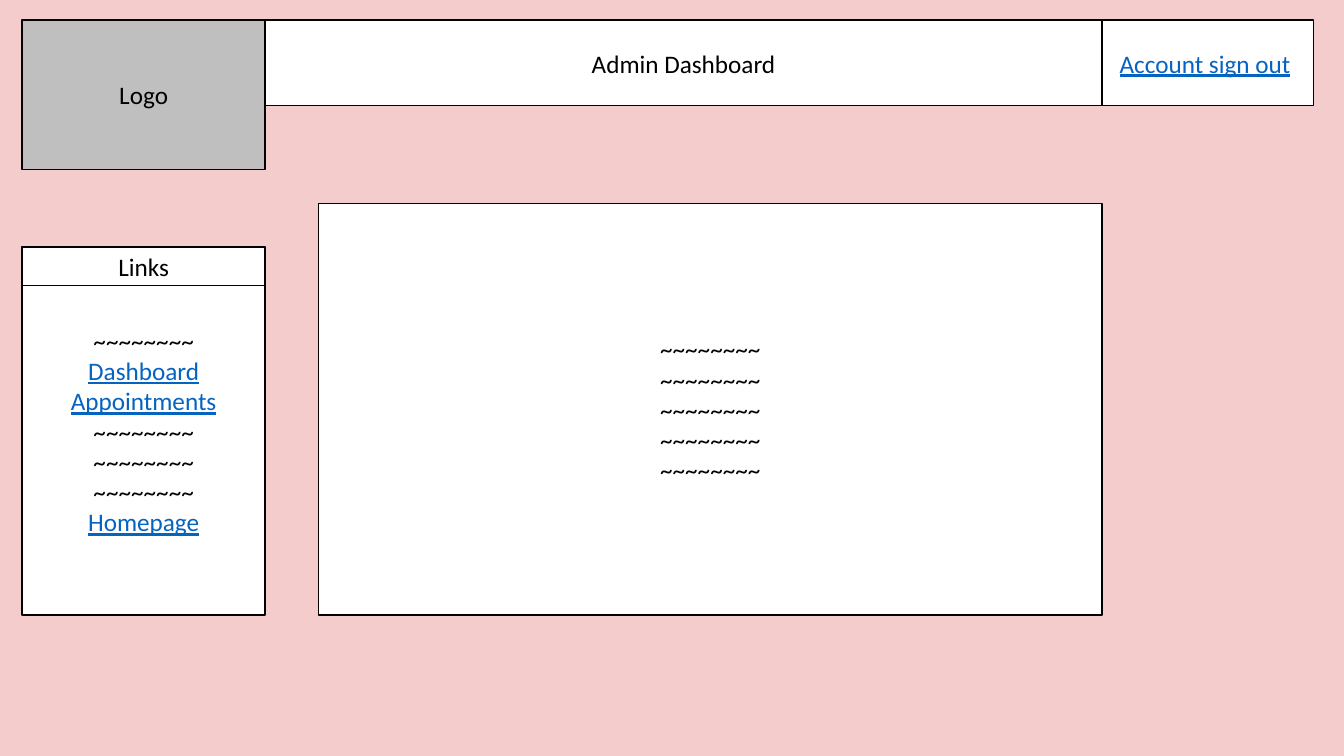
from typing import NamedTuple

from pptx import Presentation
from pptx.dml.color import RGBColor
from pptx.enum.shapes import MSO_SHAPE
from pptx.enum.text import MSO_ANCHOR, PP_ALIGN
from pptx.util import Inches, Pt

PINK = RGBColor(0xF4, 0xCC, 0xCC)
GRAY = RGBColor(0xBF, 0xBF, 0xBF)
WHITE = RGBColor(0xFF, 0xFF, 0xFF)
BLACK = RGBColor(0x00, 0x00, 0x00)
LINK_BLUE = RGBColor(0x05, 0x63, 0xC1)

FILLER = "~" * 8


class Span(NamedTuple):
    text: str
    link: bool = False


class Box(NamedTuple):
    left: float
    top: float
    width: float
    height: float
    paragraphs: list[list[Span]]
    fill: RGBColor = WHITE


def filler(count: int) -> Span:
    """Placeholder lines joined by line breaks."""
    return Span("\n".join([FILLER] * count))


def add_span(p, span: Span) -> None:
    for i, line in enumerate(span.text.split("\n")):
        if i:
            p.add_line_break()
        r = p.add_run()
        r.text = line
        r.font.color.rgb = LINK_BLUE if span.link else BLACK
        r.font.underline = span.link


def add_box(slide, box: Box) -> None:
    sp = slide.shapes.add_shape(
        MSO_SHAPE.RECTANGLE, Inches(box.left), Inches(box.top),
        Inches(box.width), Inches(box.height))
    sp.shadow.inherit = False
    sp.fill.solid()
    sp.fill.fore_color.rgb = box.fill
    sp.line.color.rgb = BLACK
    sp.line.width = Pt(1)
    tf = sp.text_frame
    tf.word_wrap = True
    tf.vertical_anchor = MSO_ANCHOR.MIDDLE
    for i, spans in enumerate(box.paragraphs):
        p = tf.add_paragraph() if i else tf.paragraphs[0]
        p.alignment = PP_ALIGN.CENTER
        p.font.name = "Calibri"
        p.font.size = Pt(18)
        for span in spans:
            add_span(p, span)


# Layout edges shared by the boxes
LEFT, TOP = 0.22, 0.2
SIDE_W, HEADER_H = 2.41, 0.85
HEADER_X = LEFT + SIDE_W
ACCOUNT_X = 10.93
LINKS_Y, CONTENT_X, CONTENT_Y, BOTTOM = 2.45, 3.16, 2.02, 6.1

BOXES = [
    # Header
    Box(LEFT, TOP, SIDE_W, 1.48, [[Span("Logo")]], GRAY),
    Box(ACCOUNT_X, TOP, 2.1, HEADER_H,
        [[Span("Account sign out", True), Span(" ")]]),
    Box(HEADER_X, TOP, ACCOUNT_X - HEADER_X, HEADER_H,
        [[Span("Admin Dashboard")]]),
    # Sidebar links
    Box(LEFT, LINKS_Y, SIDE_W, BOTTOM - LINKS_Y, [
        [filler(1)],
        [Span("Dashboard", True)],
        [Span("Appointments ", True), filler(3)],
        [Span("Homepage", True)],
    ]),
    # Main content
    Box(CONTENT_X, CONTENT_Y, ACCOUNT_X - CONTENT_X, BOTTOM - CONTENT_Y,
        [[filler(2)], [filler(3)]]),
    # Sidebar heading
    Box(LEFT, LINKS_Y, SIDE_W, 0.38, [[Span("Links")]]),
]

prs = Presentation()
prs.slide_width, prs.slide_height = Inches(13.33), Inches(7.5)
s = prs.slides.add_slide(prs.slide_layouts[6])
s.background.fill.solid()
s.background.fill.fore_color.rgb = PINK
for box in BOXES:
    add_box(s, box)
prs.save("out.pptx")
